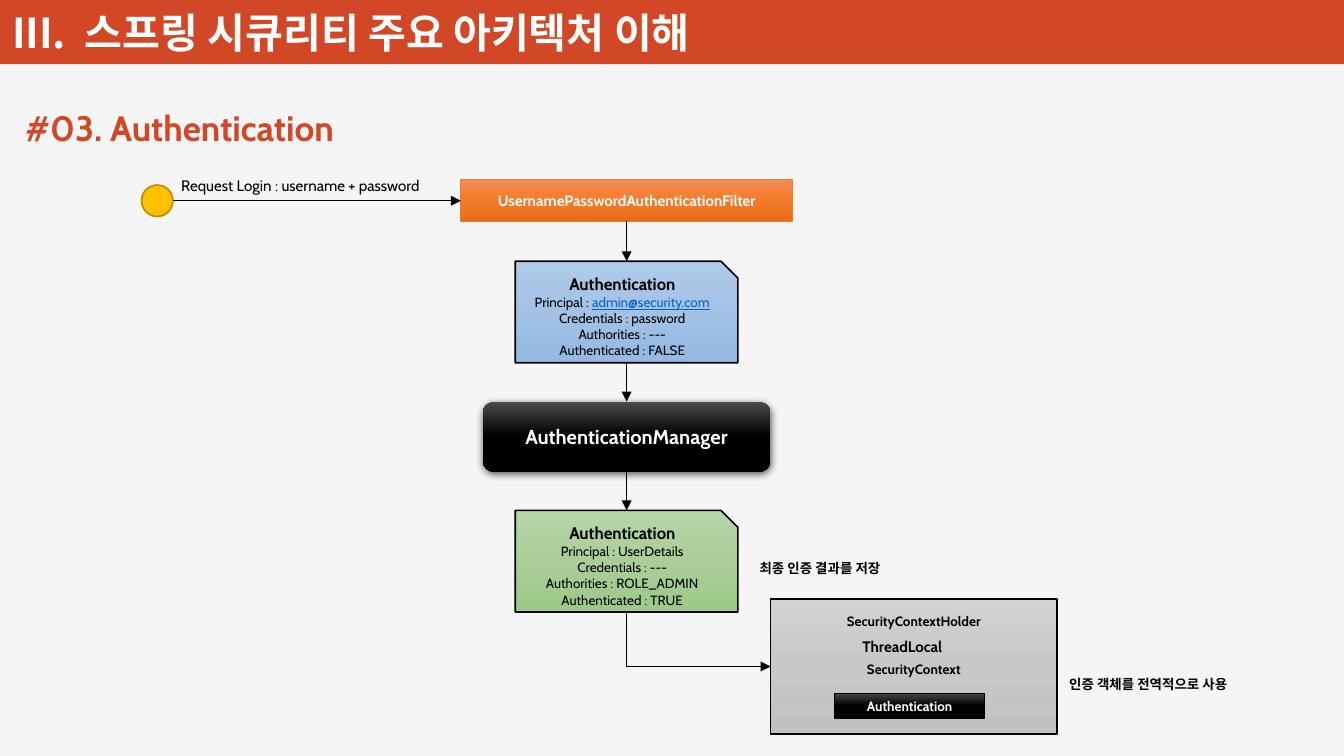
from lxml import etree
from pptx import Presentation
from pptx.dml.color import RGBColor
from pptx.enum import shapes, text
from pptx.oxml import ns
from pptx.util import Inches, Pt

LATIN_FONT = "Cabin"
KOREAN_FONT = "Noto Sans CJK KR"
WHITE = RGBColor(0xFF, 0xFF, 0xFF)
BLACK = RGBColor(0, 0, 0)
PAPER = RGBColor(0xF5, 0xF5, 0xF5)
BRICK = RGBColor(0xD2, 0x47, 0x26)
LINK_BLUE = RGBColor(0x05, 0x63, 0xC1)
YELLOW = RGBColor(0xFF, 0xC0, 0x00)
DARK_YELLOW = RGBColor(0xBD, 0x8E, 0x00)
ORANGE = RGBColor(0xED, 0x7D, 0x31)
ORANGE_SHADES = [RGBColor(0xF1, 0x8C, 0x57), RGBColor(0xF6, 0x7B, 0x28), RGBColor(0xE5, 0x6C, 0x19)]
BLUE_SHADES = [RGBColor(0xB1, 0xCB, 0xE9), RGBColor(0xA3, 0xC1, 0xE5), RGBColor(0x93, 0xB9, 0xE4)]
GREEN_SHADES = [RGBColor(0xB5, 0xD5, 0xA7), RGBColor(0xAA, 0xCE, 0x9A), RGBColor(0x9C, 0xC9, 0x87)]
GRAY_SHADES = [RGBColor(0xD2, 0xD2, 0xD2), RGBColor(0xC8, 0xC8, 0xC8), RGBColor(0xC0, 0xC0, 0xC0)]
BLACK_SHADES = [RGBColor(0x4B, 0x4B, 0x4B), BLACK, BLACK]
FLOW_X = 5.18
SHAPE = shapes.MSO_SHAPE


def add_child(parent, tag, **attributes):
    """Append a DrawingML element to a parent."""
    return etree.SubElement(parent, ns.qn(f"a:{tag}"), **attributes)


def add_run(paragraph, words, size, color, bold=False, font=LATIN_FONT):
    """Append one styled run to a paragraph."""
    run = paragraph.add_run()
    run.text = words
    run.font.size = Pt(size)
    run.font.bold = bold
    run.font.color.rgb = color
    run.font.name = font
    add_child(run._r.get_or_add_rPr(), "ea", typeface=KOREAN_FONT)
    return run


def fill_gradient(shape, colors):
    """Fill a shape with evenly spaced colours from top to bottom."""
    shape.fill.gradient()
    shape.fill.gradient_angle = 270
    stops = shape._element.spPr.find(ns.qn("a:gradFill")).find(ns.qn("a:gsLst"))
    for stop in list(stops):
        stops.remove(stop)
    for index, color in enumerate(colors):
        position = index * 100000 // (len(colors) - 1)
        stop = add_child(stops, "gs", pos=str(position))
        add_child(stop, "srgbClr", val=str(color))


def add_box(slide, kind, place, colors, line=None, line_width=1):
    """Add a preset shape with a solid or gradient fill."""
    shape = slide.shapes.add_shape(kind, *map(Inches, place))
    shape.shadow.inherit = False
    if len(colors) == 1:
        shape.fill.solid()
        shape.fill.fore_color.rgb = colors[0]
    else:
        fill_gradient(shape, colors)
    if line is None:
        shape.line.fill.background()
    else:
        shape.line.color.rgb = line
        shape.line.width = Pt(line_width)
    shape.text_frame.vertical_anchor = text.MSO_ANCHOR.MIDDLE
    return shape


def write_centered(shape, lines):
    """Write (words, size, color, bold) lines as centred paragraphs."""
    frame = shape.text_frame
    for index, line in enumerate(lines):
        paragraph = frame.add_paragraph() if index else frame.paragraphs[0]
        paragraph.alignment = text.PP_ALIGN.CENTER
        add_run(paragraph, *line)


def add_label(slide, place, words, size, color=BLACK, bold=True):
    """Add a one-line text box that fits its text."""
    box = slide.shapes.add_textbox(*map(Inches, place))
    box.text_frame.word_wrap = False
    box.text_frame.auto_size = text.MSO_AUTO_SIZE.SHAPE_TO_FIT_TEXT
    add_run(box.text_frame.paragraphs[0], words, size, color, bold)


def add_title(slide):
    """Add the header band and its title."""
    add_box(slide, SHAPE.RECTANGLE, (0, 0, 11.11, 0.53), [BRICK])
    box = slide.shapes.add_textbox(*map(Inches, (0.01, -0.1, 6.72, 0.61)))
    frame = box.text_frame
    frame.word_wrap = True
    frame.vertical_anchor = text.MSO_ANCHOR.BOTTOM
    frame.margin_left = frame.margin_right = Inches(0.09)
    frame.margin_top = frame.margin_bottom = Inches(0.04)
    style = (24.5, WHITE, True, KOREAN_FONT)
    paragraph = frame.paragraphs[0]
    add_run(paragraph, "III.", *style)
    gap = add_run(paragraph, " ", *style)
    gap._r.get_or_add_rPr().set("spc", "550")
    add_run(paragraph, "스프링 시큐리티 주요 아키텍처 이해", *style)


def add_token(slide, top, colors, details):
    """Add an Authentication card with its detail lines."""
    card = add_box(slide, SHAPE.SNIP_1_RECTANGLE, (4.26, top, 1.84, 0.84), colors, BLACK)
    lines = [("Authentication", 10, BLACK, True)]
    lines += [(detail, 8, BLACK, False) for detail in details]
    write_centered(card, lines)
    return card


def add_arrow(slide, start, end, kind=shapes.MSO_CONNECTOR.STRAIGHT):
    """Add a thin black connector with an arrowhead at its end."""
    arrow = slide.shapes.add_connector(kind, *map(Inches, start + end))
    arrow.line.color.rgb = BLACK
    arrow.line.width = Pt(0.5)
    add_child(arrow.line._get_or_add_ln(), "tailEnd", type="triangle")
    add_child(arrow._element.spPr, "effectLst")
    return arrow


def add_corner_arrow(slide, start, end):
    """Add an arrow that runs down and then right."""
    center_x, center_y = (start[0] + end[0]) / 2, (start[1] + end[1]) / 2
    half_width, half_height = (end[1] - start[1]) / 2, (end[0] - start[0]) / 2
    arrow = add_arrow(
        slide,
        (center_x + half_width, center_y - half_height),
        (center_x - half_width, center_y + half_height),
        shapes.MSO_CONNECTOR.ELBOW,
    )
    properties = arrow._element.spPr
    properties.find(ns.qn("a:xfrm")).set("rot", str(270 * 60000))
    properties.find(ns.qn("a:prstGeom")).set("prst", "bentConnector2")


def add_manager(slide):
    """Add the AuthenticationManager block with its soft shadow."""
    manager = add_box(slide, SHAPE.ROUNDED_RECTANGLE, (3.99, 3.32, 2.38, 0.58), BLACK_SHADES)
    write_centered(manager, [("AuthenticationManager", 12, WHITE, True)])
    effects = manager._element.spPr.find(ns.qn("a:effectLst"))
    shadow = add_child(effects, "outerShdw", blurRad=str(Pt(4.5)), dist=str(Pt(1.5)),
                       dir="5400000", rotWithShape="0")
    add_child(add_child(shadow, "srgbClr", val=str(BLACK)), "alpha", val="63000")


def add_context_holder(slide):
    """Add the SecurityContextHolder panel and what it contains."""
    holder = add_box(slide, SHAPE.RECTANGLE, (6.37, 4.95, 2.37, 1.12), GRAY_SHADES, BLACK)
    names = ("SecurityContextHolder", "SecurityContext")
    write_centered(holder, [(name, 8, BLACK, True) for name in names])
    holder.text_frame.vertical_anchor = text.MSO_ANCHOR.TOP
    for paragraph in holder.text_frame.paragraphs:
        paragraph.line_spacing = 1.5
    holder.text_frame.paragraphs[0].space_after = Pt(14.6)
    add_label(slide, (7.03, 5.22, 0.92, 0.25), "ThreadLocal", 9)
    stored = add_box(slide, SHAPE.RECTANGLE, (6.9, 5.73, 1.24, 0.21), BLACK_SHADES, BLACK, 0.5)
    write_centered(stored, [("Authentication", 8, WHITE, True)])


def main():
    """Build the authentication flow slide."""
    presentation = Presentation()
    presentation.slide_width, presentation.slide_height = Inches(11.11), Inches(6.25)
    slide = presentation.slides.add_slide(presentation.slide_layouts[6])
    slide.background.fill.solid()
    slide.background.fill.fore_color.rgb = PAPER
    add_title(slide)
    add_label(slide, (0.11, 0.83, 2.95, 0.45), "#03. Authentication", 21, BRICK)

    add_box(slide, SHAPE.OVAL, (1.17, 1.53, 0.26, 0.26), [YELLOW], DARK_YELLOW)
    add_label(slide, (1.4, 1.41, 2.33, 0.25), "Request Login : username + password", 9, bold=False)
    login_filter = add_box(slide, SHAPE.RECTANGLE, (3.81, 1.48, 2.74, 0.35), ORANGE_SHADES, ORANGE, 0.5)
    write_centered(login_filter, [("UsernamePasswordAuthenticationFilter", 9, WHITE, True)])

    request = add_token(slide, 2.16, BLUE_SHADES, [
        "Principal : ", "Credentials : password", "Authorities : ---", "Authenticated : FALSE"])
    address = add_run(request.text_frame.paragraphs[1], "admin@security.com", 8, LINK_BLUE)
    address.font.underline = True
    add_manager(slide)
    add_token(slide, 4.22, GREEN_SHADES, [
        "Principal : UserDetails", "Credentials : ---", "Authorities : ROLE_ADMIN", "Authenticated : TRUE"])
    add_context_holder(slide)

    add_arrow(slide, (1.43, 1.66), (3.81, 1.66))
    for top, bottom in ((1.83, 2.16), (3, 3.32), (3.9, 4.22)):
        add_arrow(slide, (FLOW_X, top), (FLOW_X, bottom))
    add_corner_arrow(slide, (FLOW_X, 5.06), (6.37, 5.51))
    add_label(slide, (8.74, 5.54, 1.64, 0.24), "인증 객체를 전역적으로 사용", 8)
    add_label(slide, (6.18, 4.58, 1.31, 0.24), "최종 인증 결과를 저장", 8)
    presentation.save("out.pptx")


if __name__ == "__main__":
    main()
